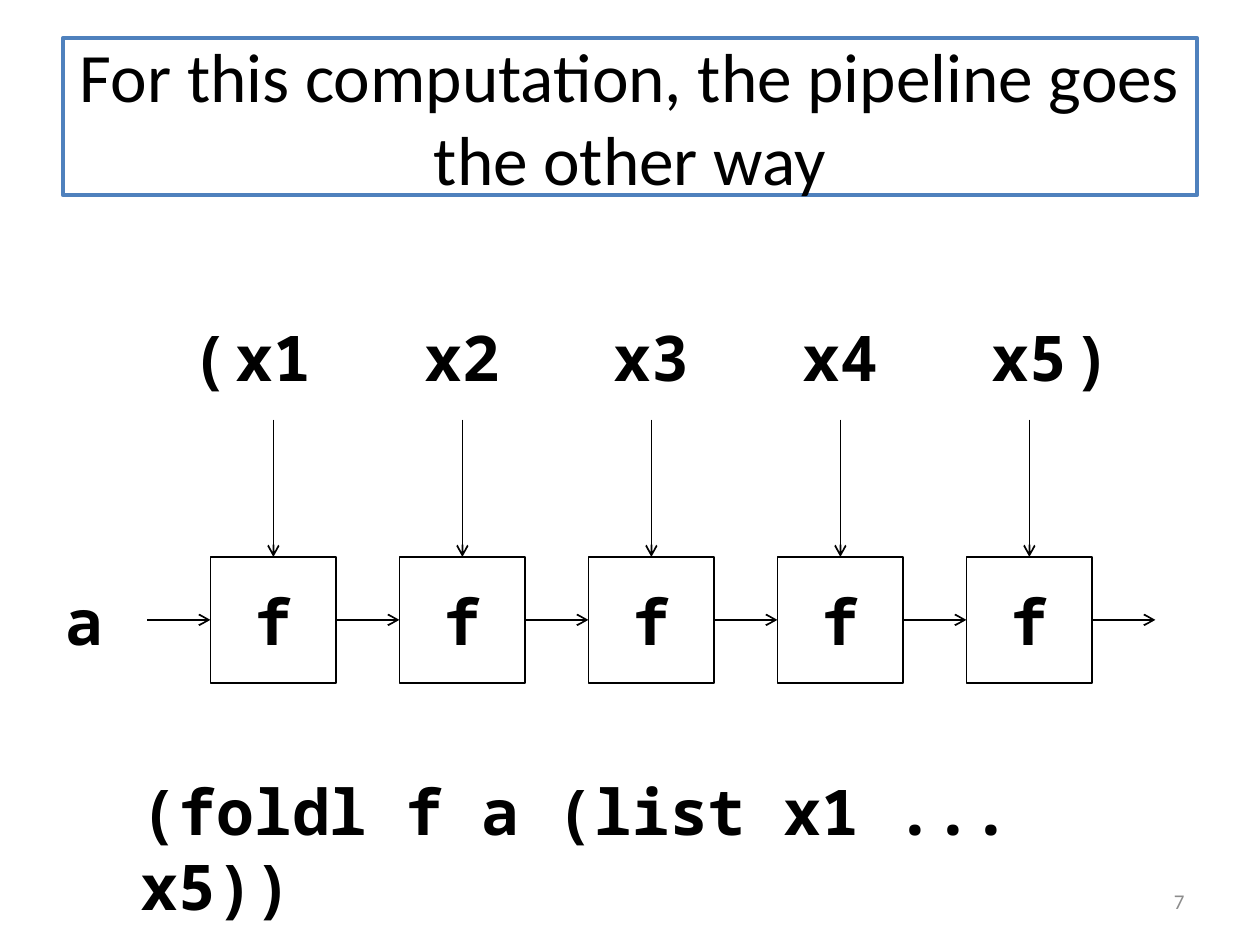
from pptx import Presentation
from pptx.dml.color import RGBColor
from pptx.enum.shapes import MSO_CONNECTOR, MSO_SHAPE
from pptx.enum.text import MSO_ANCHOR, MSO_AUTO_SIZE, PP_ALIGN
from pptx.oxml.ns import qn
from pptx.util import Inches, Pt
from lxml.etree import SubElement

BLACK = RGBColor(0x00, 0x00, 0x00)
WHITE = RGBColor(0xFF, 0xFF, 0xFF)
BLUE = RGBColor(0x4F, 0x81, 0xBD)
GRAY = RGBColor(0x8C, 0x8C, 0x8C)

TITLE = {"name": "Calibri", "size": Pt(39.6), "bold": False}
CODE = {"name": "Noto Sans Mono", "size": Pt(36), "bold": True}
NUMBER = {"name": "Calibri", "size": Pt(12), "bold": False}

LEFT, STEP, SIZE = 1.67, 1.5, 1
ITEM_TOP, BOX_TOP = 2.33, 4.42
FLOW_Y = BOX_TOP + SIZE / 2


def put_text(sp, text, style, color=BLACK, align=PP_ALIGN.CENTER, anchor=MSO_ANCHOR.MIDDLE):
    tf = sp.text_frame
    tf.word_wrap = True
    tf.auto_size = MSO_AUTO_SIZE.NONE
    tf.vertical_anchor = anchor
    p = tf.paragraphs[0]
    p.alignment = align
    r = p.add_run()
    r.text = text
    for key, value in style.items():
        setattr(r.font, key, value)
    r.font.color.rgb = color


def add_arrow(x1, y1, x2, y2):
    line = s.shapes.add_connector(
        MSO_CONNECTOR.STRAIGHT, Inches(x1), Inches(y1), Inches(x2), Inches(y2))
    line.line.color.rgb = BLACK
    line.line.width = Pt(1)
    SubElement(line.line._get_or_add_ln(), qn("a:tailEnd"), type="arrow")
    SubElement(line._element.spPr, qn("a:effectLst"))


prs = Presentation()
prs.slide_width, prs.slide_height = Inches(10), Inches(7.5)
s = prs.slides.add_slide(prs.slide_layouts[5])

title = s.shapes.title
title.left, title.top, title.width, title.height = Inches(0.5), Inches(0.3), Inches(9), Inches(1.25)
title.fill.solid()
title.fill.fore_color.rgb = WHITE
title.line.color.rgb = BLUE
title.line.width = Pt(2.25)
put_text(title, "For this computation, the pipeline goes the other way", TITLE)

number = s.shapes.add_textbox(Inches(7.17), Inches(6.95), Inches(2.33), Inches(0.4))
put_text(number, "7", NUMBER, GRAY, PP_ALIGN.RIGHT)

call = s.shapes.add_textbox(Inches(1.02), Inches(6.08), Inches(7.96), Inches(0.71))
put_text(call, "(foldl f a (list x1 ... x5))", CODE, align=PP_ALIGN.LEFT, anchor=MSO_ANCHOR.TOP)

labels = [("(", 1.17, ITEM_TOP), (")", 8.17, ITEM_TOP), ("a", 0.17, BOX_TOP)]
labels += [(f"x{i + 1}", LEFT + i * STEP, ITEM_TOP) for i in range(5)]
for text, x, y in labels:
    label = s.shapes.add_textbox(Inches(x), Inches(y), Inches(SIZE), Inches(SIZE))
    put_text(label, text, CODE)

for i in range(5):
    x = LEFT + i * STEP
    box = s.shapes.add_shape(
        MSO_SHAPE.RECTANGLE, Inches(x), Inches(BOX_TOP), Inches(SIZE), Inches(SIZE))
    box.shadow.inherit = False
    box.fill.background()
    box.line.color.rgb = BLACK
    box.line.width = Pt(1)
    put_text(box, "f", CODE)
    add_arrow(x + SIZE / 2, ITEM_TOP + SIZE, x + SIZE / 2, BOX_TOP)

for i in range(6):
    x = LEFT + i * STEP
    add_arrow(x - 0.5, FLOW_Y, x, FLOW_Y)

prs.save("out.pptx")
